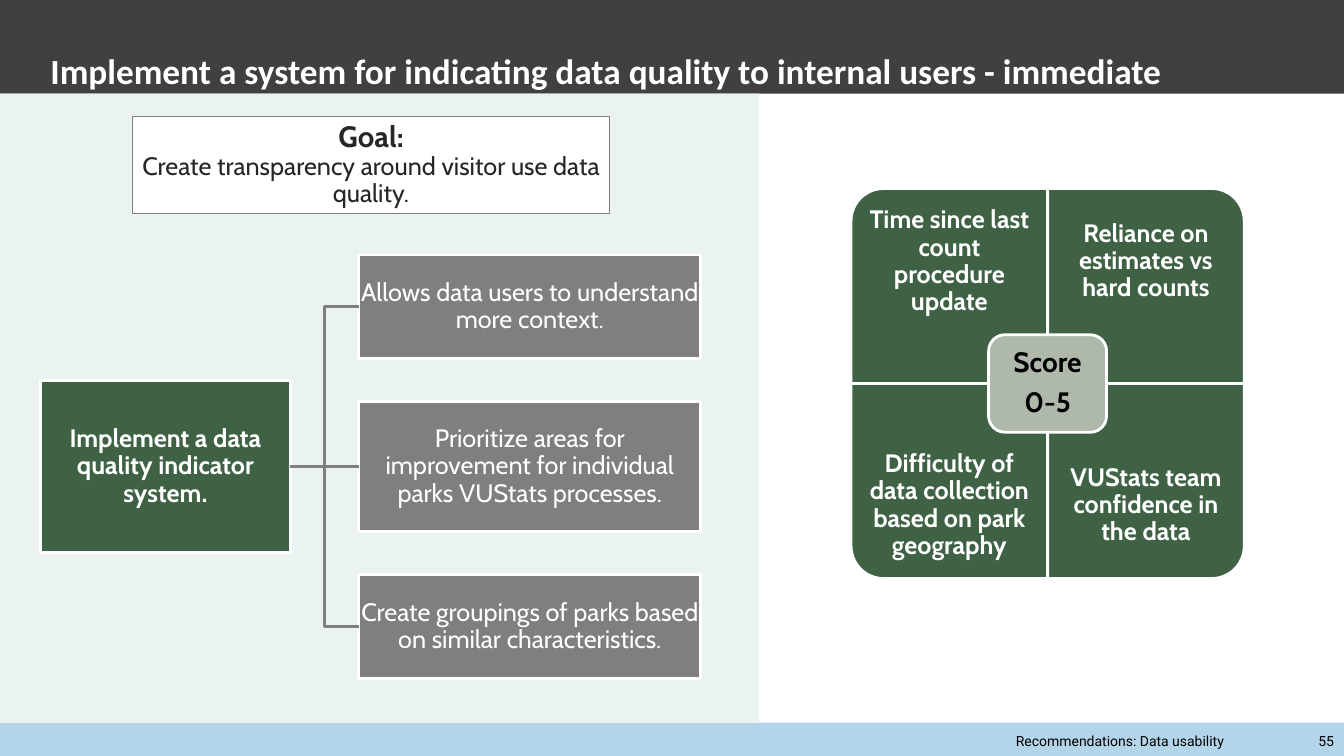
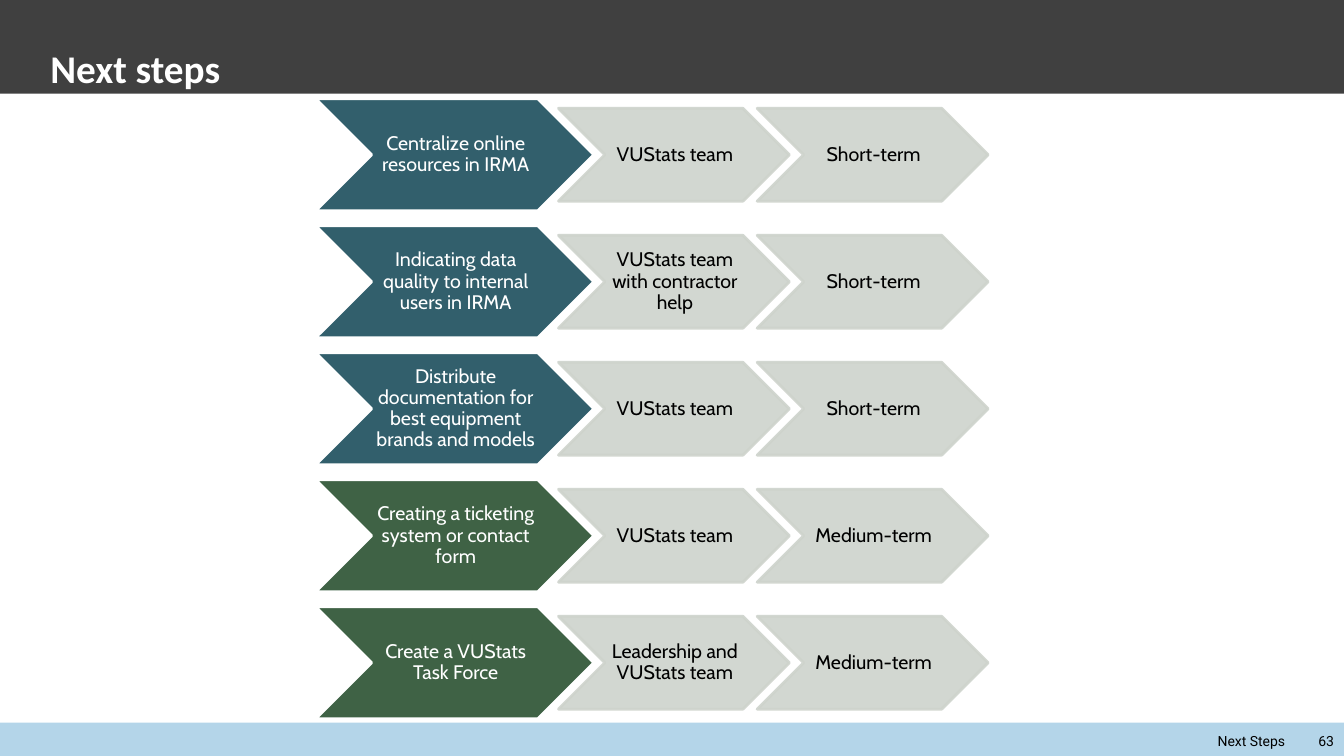
from dataclasses import dataclass

from lxml.etree import SubElement
from pptx import Presentation
from pptx.dml.color import RGBColor
from pptx.enum.shapes import MSO_CONNECTOR, MSO_SHAPE
from pptx.enum.text import MSO_ANCHOR, PP_ALIGN
from pptx.oxml.ns import qn
from pptx.util import Inches, Pt


@dataclass(frozen=True)
class Theme:
    white: str = "FFFFFF"
    black: str = "000000"
    ink: str = "262626"
    charcoal: str = "404040"
    gray: str = "7F7F7F"
    green: str = "3F6245"
    teal: str = "325F6C"
    sage: str = "AEB8AB"
    pale_sage: str = "CED3CC"
    mist: str = "EAF2F2"
    sky: str = "82BADB"
    title_font: str = "Calibri"
    body_font: str = "Cabin"
    footer_font: str = "Roboto"
    title_size: float = 28
    long_title_size: float = 25.2
    goal_size: float = 21
    score_size: float = 20
    body_size: float = 18
    step_size: float = 14
    footer_size: float = 10
    thin_line: float = 0.75
    line: float = 2


THEME = Theme()


@dataclass(frozen=True)
class Box:
    left: int
    top: int
    width: int
    height: int

    def share(self, left, top, width, height):
        """Return an inner box given in percent of this box."""
        return Box(
            round(self.left + self.width * left / 100),
            round(self.top + self.height * top / 100),
            round(self.width * width / 100),
            round(self.height * height / 100),
        )

    def turned(self):
        shift = (self.width - self.height) // 2
        return Box(self.left + shift, self.top - shift, self.height, self.width)

    def bounds(self):
        return self.left, self.top, self.width, self.height


PAGE = Box(0, 0, Inches(13.33), Inches(7.5))


def font_style(size, color, bold=False, name=THEME.body_font):
    return {"size": Pt(size), "bold": bold, "name": name, "color": color}


def set_values(target, values):
    for name, value in values.items():
        setattr(target, name, value)


def set_color(color_format, color, opacity=100):
    color_format.rgb = RGBColor.from_string(color)
    if opacity < 100:
        for element in color_format._xFill.iter(qn("a:srgbClr")):
            SubElement(element, qn("a:alpha"), val=str(opacity * 1000))


def write(shape, lines, insets=(0.1, 0.05, 0.1, 0.05), anchor=MSO_ANCHOR.MIDDLE,
          align=PP_ALIGN.CENTER, spacing=0.9, gap=0):
    frame = shape.text_frame
    sides = ("margin_left", "margin_top", "margin_right", "margin_bottom")
    set_values(frame, {"word_wrap": True, "vertical_anchor": anchor,
                       **dict(zip(sides, map(Inches, insets)))})
    for index, (text, style) in enumerate(lines):
        paragraph = frame.add_paragraph() if index else frame.paragraphs[0]
        set_values(paragraph, {"alignment": align, "line_spacing": spacing})
        if index < len(lines) - 1:
            paragraph.space_after = Pt(gap)
        run = paragraph.add_run()
        run.text = text
        values = dict(style)
        set_color(run.font.color, values.pop("color"))
        set_values(run.font, values)


def add_text(slide, box, lines, **layout):
    shape = slide.shapes.add_textbox(*box.bounds())
    write(shape, lines, **layout)
    return shape


def add_block(slide, box, fill, line=None, kind=MSO_SHAPE.RECTANGLE,
              line_width=THEME.line, opacity=100):
    shape = slide.shapes.add_shape(kind, *box.bounds())
    shape.shadow.inherit = False
    shape.fill.solid()
    set_color(shape.fill.fore_color, fill, opacity)
    if line is None:
        shape.line.fill.background()
    else:
        shape.line.width = Pt(line_width)
        shape.line.fill.solid()
        set_color(shape.line.fill.fore_color, line, opacity)
    return shape


def add_frame(presentation, title, title_size, footer):
    slide = presentation.slides.add_slide(presentation.slide_layouts[6])
    add_block(slide, PAGE.share(0, 0, 100, 12.4), THEME.charcoal)
    add_block(slide, PAGE.share(0, 95.6, 100, 4.4), THEME.sky, opacity=60)
    add_text(slide, PAGE.share(3.75, 0.27, 86.57, 11.87),
             [(title, font_style(title_size, THEME.white, True, THEME.title_font))],
             insets=(0, 0.05, 0.1, 0), anchor=MSO_ANCHOR.BOTTOM,
             align=PP_ALIGN.LEFT, spacing=1.0)
    add_text(slide, PAGE.share(72.09, 96, 27.91, 4),
             [(footer, font_style(THEME.footer_size, THEME.black,
                                  name=THEME.footer_font))],
             align=PP_ALIGN.RIGHT, spacing=1.0)
    return slide


def add_goal(slide, box):
    goal = add_block(slide, box, THEME.white, THEME.gray, line_width=THEME.thin_line)
    write(goal, [
        ("Goal:", font_style(THEME.goal_size, THEME.ink, True)),
        ("Create transparency around visitor use data quality.",
         font_style(THEME.body_size, THEME.ink)),
    ])


def join(slide, start, end, kind):
    connector = slide.shapes.add_connector(kind, 0, 0, 0, 0)
    connector.begin_connect(start, 3)
    connector.end_connect(end, 1)
    connector.line.width = Pt(THEME.line)
    set_color(connector.line.color, THEME.gray)
    SubElement(connector._element.spPr, qn("a:effectLst"))


def add_tree(slide, box, root_text, branches):
    insets = (0.01,) * 4
    root_height = 40.71
    root = add_block(slide, box.share(0, (100 - root_height) / 2, 37.86, root_height),
                     THEME.green, THEME.white)
    write(root, [(root_text, font_style(THEME.body_size, THEME.white, True))],
          insets=insets)
    gap = (100 - sum(height for _, height in branches)) / (len(branches) - 1)
    top = 0
    for index, (text, height) in enumerate(branches):
        branch = add_block(slide, box.share(48.24, top, 51.76, height),
                           THEME.gray, THEME.white)
        write(branch, [(text, font_style(THEME.body_size, THEME.white))],
              insets=insets)
        middle = index == len(branches) // 2
        join(slide, root, branch,
             MSO_CONNECTOR.STRAIGHT if middle else MSO_CONNECTOR.ELBOW)
        top += height + gap


def add_matrix(slide, box, criteria):
    rotations = (270, 0, 180, 90)
    for index, (text, rotation) in enumerate(zip(criteria, rotations)):
        row, column = divmod(index, 2)
        cell = box.share(50 * column, 50 * row, 50, 50)
        outline = cell.turned() if rotation in (90, 270) else cell
        quadrant = add_block(slide, outline, THEME.green, THEME.white,
                             MSO_SHAPE.ROUND_1_RECTANGLE)
        quadrant.rotation = rotation
        add_text(slide, cell.share(0, 25 * row, 100, 75),
                 [(text, font_style(THEME.body_size, THEME.white, True))],
                 insets=(0.14,) * 4)
    score = add_block(slide, box.share(35, 37.5, 30, 25), THEME.sage, THEME.white,
                      MSO_SHAPE.ROUNDED_RECTANGLE)
    style = font_style(THEME.score_size, THEME.black, True)
    write(score, [("Score", style), ("0-5", style)], insets=(0.08,) * 4, gap=7)


def add_step_row(slide, box, color, texts):
    for index, text in enumerate(texts):
        if index == 0:
            place, fill, line, opacity = box.share(0, 0, 41.38, 100), color, THEME.white, 100
        else:
            place = box.share(36.13 + 29.54 * (index - 1), 8.5, 34.33, 83)
            fill, line, opacity = THEME.pale_sage, THEME.pale_sage, 90
        chevron = add_block(slide, place, fill, line, MSO_SHAPE.CHEVRON,
                            opacity=opacity)
        ink = THEME.black if index else THEME.white
        write(chevron, [(text, font_style(THEME.step_size, ink))],
              insets=(0.02, 0.01, 0, 0.01))


def add_steps(slide, box, steps):
    row_height = 18.05
    pitch = (100 - row_height) / (len(steps) - 1)
    for index, (color, *texts) in enumerate(steps):
        add_step_row(slide, box.share(0, pitch * index, 100, row_height), color, texts)


def build_quality_slide(presentation):
    slide = add_frame(
        presentation,
        "Implement a system for indicating data quality to internal users - immediate",
        THEME.long_title_size, "Recommendations: Data usability \t\t55")
    panel = PAGE.share(0, 12.4, 56.49, 83.2)
    add_block(slide, panel, THEME.mist)
    add_tree(slide, panel.share(5.31, 25.64, 86.99, 67.31),
             "Implement a data quality indicator system.", [
        ("Allows data users to understand more context.", 24.52),
        ("Prioritize areas for improvement for individual parks VUStats processes.", 30.71),
        ("Create groupings of parks based on similar characteristics.", 24.52),
    ])
    add_goal(slide, panel.share(17.4, 3.69, 62.95, 15.38))
    add_matrix(slide, PAGE.share(63.32, 24.93, 29.26, 51.6), [
        "Time since last count procedure update",
        "Reliance on estimates vs hard counts",
        "Difficulty of data collection based on park geography",
        "VUStats team confidence in the data",
    ])


def build_steps_slide(presentation):
    slide = add_frame(presentation, "Next steps", THEME.title_size, "Next Steps \t63")
    add_steps(slide, PAGE.share(23.48, 13.07, 50.04, 82), [
        (THEME.teal, "Centralize online resources in IRMA", "VUStats team", "Short-term"),
        (THEME.teal, "Indicating data quality to internal users in IRMA",
         "VUStats team with contractor help", "Short-term"),
        (THEME.teal, "Distribute documentation for best equipment brands and models",
         "VUStats team", "Short-term"),
        (THEME.green, "Creating a ticketing system or contact form",
         "VUStats team", "Medium-term"),
        (THEME.green, "Create a VUStats Task Force",
         "Leadership and VUStats team", "Medium-term"),
    ])


def main():
    presentation = Presentation()
    set_values(presentation, {"slide_width": PAGE.width, "slide_height": PAGE.height})
    build_quality_slide(presentation)
    build_steps_slide(presentation)
    presentation.save("out.pptx")


if __name__ == "__main__":
    main()
